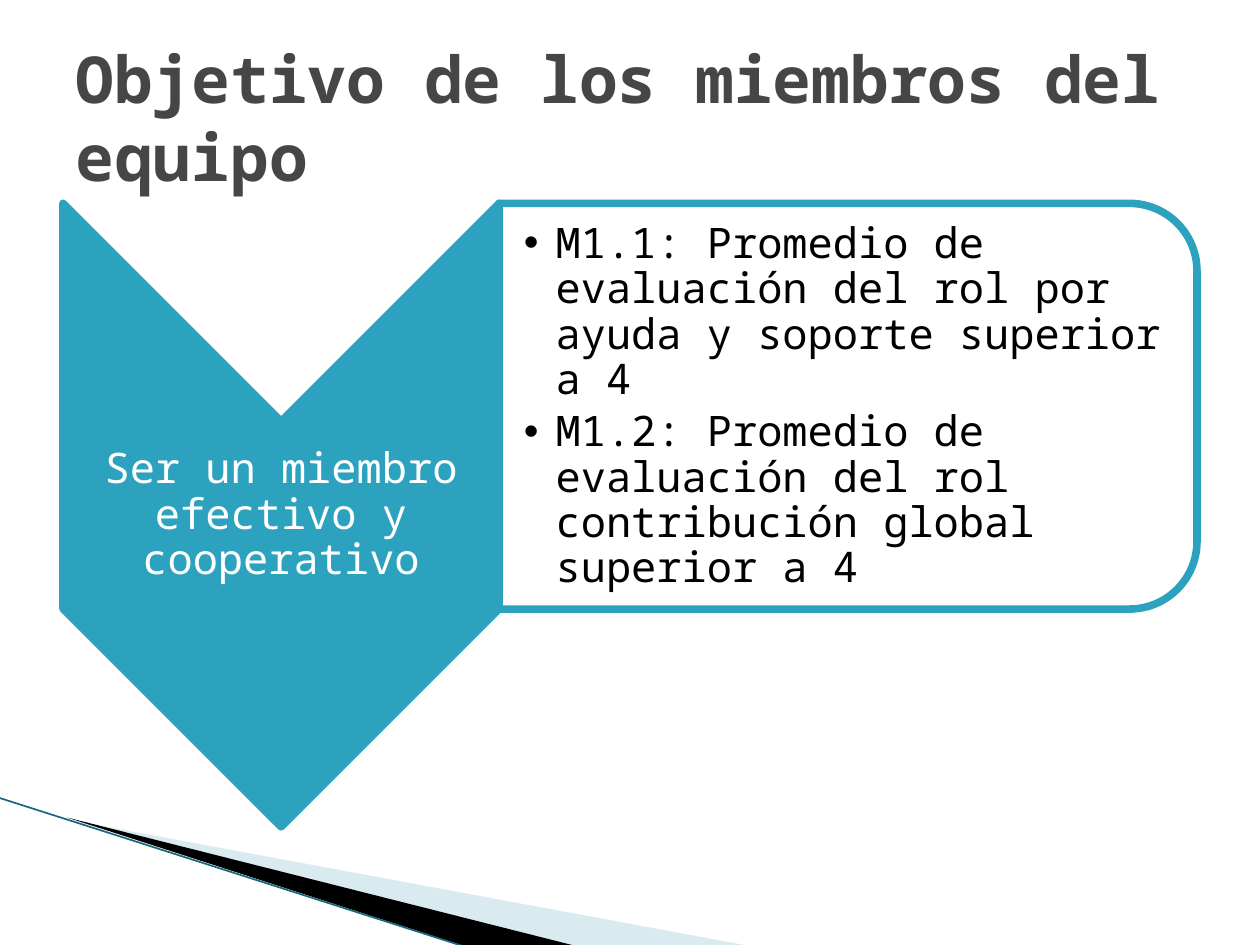
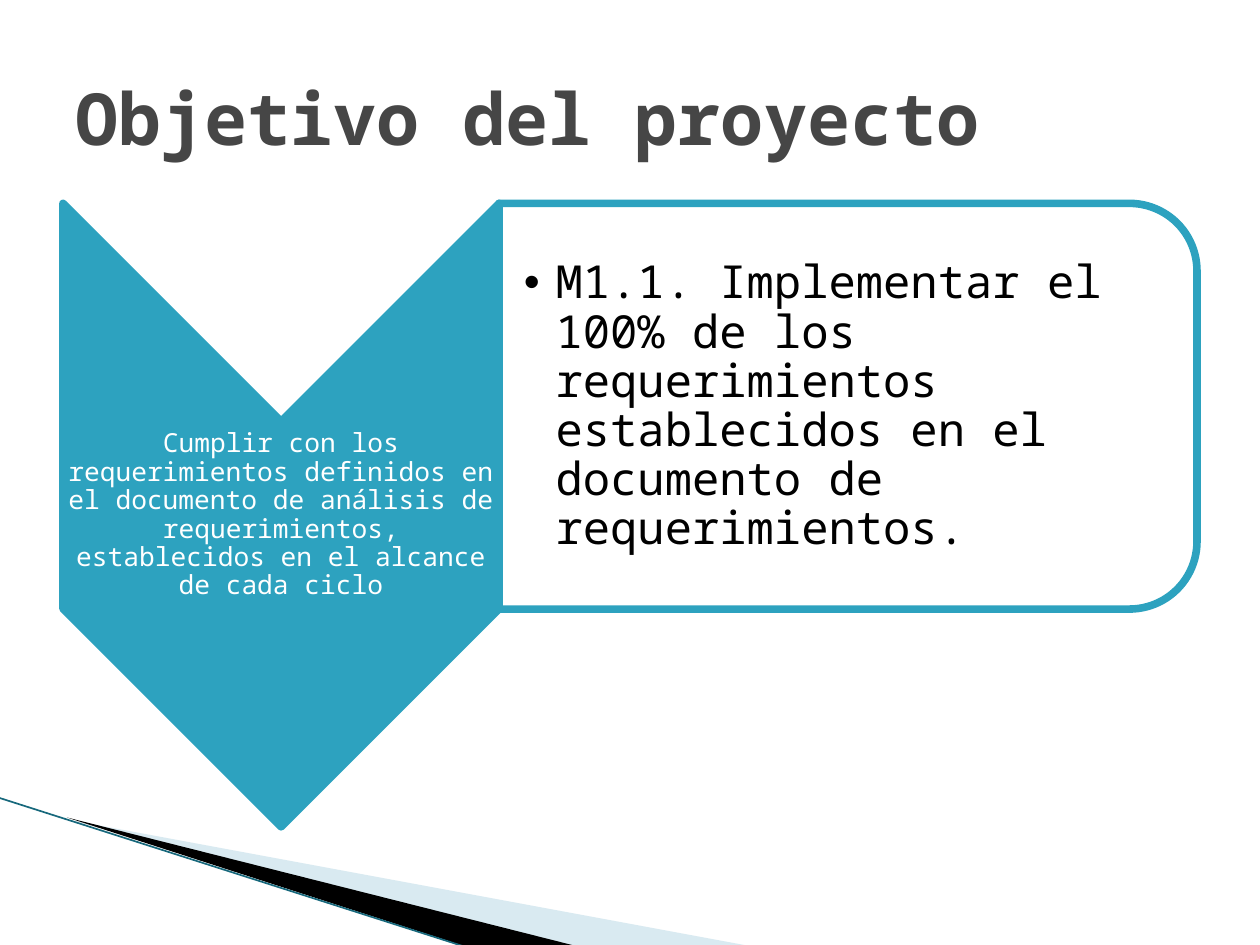
from dataclasses import dataclass

from pptx import Presentation
from pptx.dml.color import RGBColor as RGB
from pptx.enum.shapes import MSO_CONNECTOR as Link, MSO_SHAPE as Kind
from pptx.enum.text import MSO_ANCHOR as Anchor, MSO_AUTO_SIZE as Fit, PP_ALIGN as Align
from pptx.oxml.ns import qn
from pptx.oxml.xmlchemy import OxmlElement as Node
from pptx.util import Cm, Pt


@dataclass(frozen=True)
class Theme:
    font: str = "Noto Sans Mono"
    teal: str = "2DA2BF"
    pale: str = "A0CBDC"
    edge: str = "17687C"
    dark: str = "464646"
    black: str = "000000"
    white: str = "FFFFFF"
    border: float = 4.33
    hair: float = 0.95
    tight: float = 0.9


@dataclass(frozen=True)
class Box:
    left: float
    top: float
    width: float
    height: float

    def lengths(self) -> tuple:
        return Cm(self.left), Cm(self.top), Cm(self.width), Cm(self.height)

    def turned(self) -> "Box":
        """Frame that fills this box once it is rotated by 90 degrees."""
        shift = (self.width - self.height) / 2
        return Box(self.left + shift, self.top - shift, self.height, self.width)


@dataclass(frozen=True)
class Goal:
    title: str
    title_size: float
    aim: str
    aim_size: float
    aim_inset: float
    points: tuple
    point_size: float


THEME = Theme()
TITLE = Box(1.27, 0.76, 22.86, 3.18)
ARROW = Box(1.27, 4.1, 8.79, 12.57)
AIM = Box(1.27, 8.51, 8.79, 3.76)
PANEL = Box(10.06, 4.1, 14.07, 8.18)
LIST = Box(10.06, 4.52, 13.67, 7.37)
INDENT = 0.64

GOALS = (
    Goal("Objetivo de los miembros del equipo", 36.9,
         "Ser un miembro efectivo y cooperativo", 24, 0.05,
         ("M1.1: Promedio de evaluación del rol por ayuda y soporte superior a 4",
          "M1.2: Promedio de evaluación del rol contribución global superior a 4"), 24),
    Goal("Objetivo del proyecto", 41,
         "Cumplir con los requerimientos definidos en el documento de análisis de "
         "requerimientos, establecidos en el alcance de cada ciclo", 15, 0.03,
         ("M1.1. Implementar el 100% de los requerimientos establecidos en el "
          "documento de requerimientos.",), 26),
)


def paint(shape, color: str, alpha: int = 100) -> None:
    shape.shadow.inherit = False
    shape.fill.solid()
    shape.fill.fore_color.rgb = RGB.from_string(color)
    if alpha < 100:
        tone = shape.element.spPr.find(qn("a:solidFill")).find(qn("a:srgbClr"))
        node = Node("a:alpha")
        node.set("val", str(alpha * 1000))
        tone.append(node)


def place(shape, box: Box) -> None:
    shape.left, shape.top, shape.width, shape.height = box.lengths()


def style(par, size: float, color: str, bold: bool = False) -> None:
    for run in par.runs:
        run.font.name = THEME.font
        run.font.size = Pt(size)
        run.font.bold = bold
        run.font.color.rgb = RGB.from_string(color)


def frame(shape, inset: float, left: float):
    text = shape.text_frame
    text.word_wrap = True
    text.auto_size = Fit.NONE
    text.vertical_anchor = Anchor.MIDDLE
    text.margin_right = text.margin_top = text.margin_bottom = Cm(inset)
    text.margin_left = Cm(left)
    return text


def add_wedge(slide, points: tuple, color: str, alpha: int = 100) -> None:
    first, *rest = [(Cm(x), Cm(y)) for x, y in points]
    pen = slide.shapes.build_freeform(*first)
    pen.add_line_segments(rest)
    wedge = pen.convert_to_shape()
    paint(wedge, color, alpha)
    wedge.line.fill.background()


def add_corner(slide) -> None:
    add_wedge(slide, ((1.4, 16.53), (15.11, 19.07), (11.58, 19.07)), THEME.pale, 40)
    add_wedge(slide, ((1.35, 16.48), (11.61, 19.07), (9.45, 19.1)), THEME.black)
    line = slide.shapes.add_connector(
        Link.STRAIGHT, Cm(-0.03), Cm(16.08), Cm(9.42), Cm(19.1))
    line.line.width = Pt(THEME.hair)
    line.line.color.rgb = RGB.from_string(THEME.edge)
    line.element.spPr.append(Node("a:effectLst"))


def add_turned(slide, kind, box: Box, color: str, alpha: int = 100) -> None:
    shape = slide.shapes.add_shape(kind, *box.turned().lengths())
    shape.rotation = 90
    paint(shape, color, alpha)
    shape.line.width = Pt(THEME.border)
    shape.line.color.rgb = RGB.from_string(THEME.teal)
    shape.element.spPr.find(qn("a:ln")).append(Node("a:round"))


def add_aim(slide, goal: Goal) -> None:
    box = slide.shapes.add_textbox(*AIM.lengths())
    text = frame(box, goal.aim_inset, goal.aim_inset)
    text.text = goal.aim
    par = text.paragraphs[0]
    par.alignment = Align.CENTER
    par.line_spacing = THEME.tight
    style(par, goal.aim_size, THEME.white)


def fill_list(slide, goal: Goal) -> None:
    body = slide.placeholders[1]
    place(body, LIST)
    slide.shapes.element.append(body.element)  # bring in front of the panel
    text = frame(body, 0.05, 0.5)
    text.text = "\n".join(goal.points)
    for par in text.paragraphs:
        par.line_spacing = THEME.tight
        par.space_before = Pt(0)
        par.space_after = Pt(4)
        props = par._p.get_or_add_pPr()
        props.set("marL", str(Cm(INDENT)))
        props.set("indent", str(Cm(-INDENT)))
        style(par, goal.point_size, THEME.black)


def fill_title(slide, goal: Goal) -> None:
    title = slide.shapes.title
    place(title, TITLE)
    text = frame(title, 0.13, 0.25)
    text.text = goal.title
    par = text.paragraphs[0]
    par.alignment = Align.LEFT
    style(par, goal.title_size, THEME.dark, True)


def add_goal(deck, goal: Goal) -> None:
    slide = deck.slides.add_slide(deck.slide_layouts[1])
    # Shared corner, then arrow and panel
    add_corner(slide)
    add_turned(slide, Kind.CHEVRON, ARROW, THEME.teal)
    add_aim(slide, goal)
    add_turned(slide, Kind.ROUND_2_SAME_RECTANGLE, PANEL, THEME.white, 90)
    # Placeholders
    fill_list(slide, goal)
    fill_title(slide, goal)


deck = Presentation()
deck.slide_width, deck.slide_height = Cm(25.4), Cm(19.05)
for goal in GOALS:
    add_goal(deck, goal)
deck.save("out.pptx")
